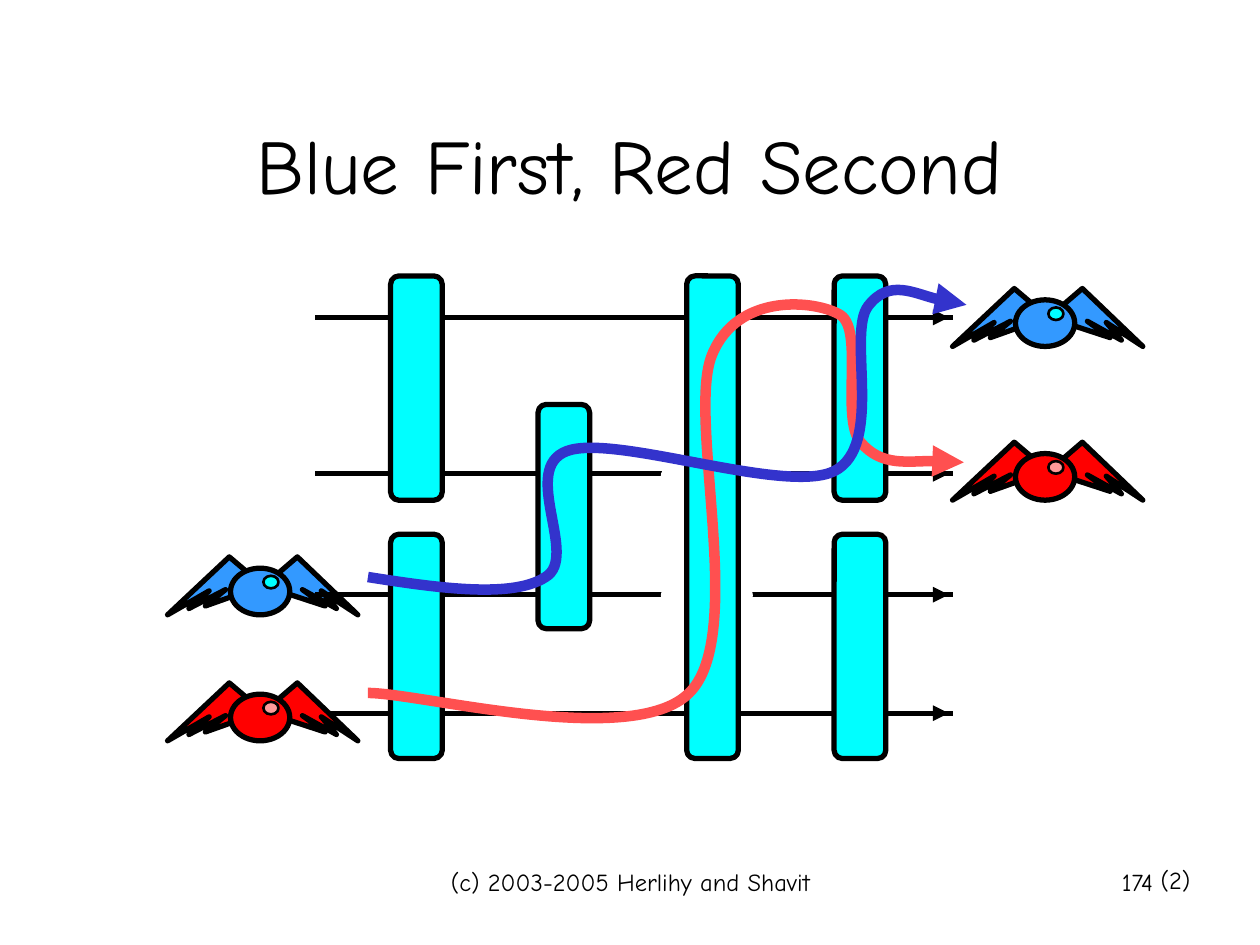
"""Build the counting network slide where blue exits first and red second."""
from lxml.etree import SubElement
from pptx import Presentation
from pptx.dml.color import RGBColor
from pptx.enum.shapes import MSO_CONNECTOR as Connector, MSO_SHAPE as Shape
from pptx.enum.text import MSO_ANCHOR as Anchor, PP_ALIGN as Align
from pptx.oxml.ns import qn
from pptx.util import Pt

SCALE = 9144
COLORS = {
    "black": "000000", "white": "FFFFFF", "gate": "00FFFF",
    "blue": "3399FF", "blue eye": "00FFFF", "blue path": "3333CC",
    "red": "FF0000", "red eye": "FF9999", "red path": "FF5050",
}
WIRES = TOP, UPPER, LOWER, BOTTOM = 252, 376, 472, 566
GATES = [(310, 424), (310, 219), (427, 321), (662, 424), (662, 219)]
GATE_WIDTH, GATE_HEIGHT, TALL_GATE_HEIGHT = 41, 178, 383
RIGHT_WING = [(82, 18), (103, 0), (151, 46), (122, 27), (134, 41),
              (107, 26), (125, 39), (76, 23)]
LEFT_WING = [(69, 17), (49, 0), (0, 46), (33, 27), (17, 41),
             (46, 26), (30, 39), (75, 23)]
BIRDS = [(133, 442, "blue"), (133, 542, "red"),
         (756, 229, "blue"), (756, 351, "red")]
RED_PATH = [(292, 550), (334, 550), (502, 595), (547, 550),
            (593, 505), (545, 332), (565, 282), (585, 232), (647, 238),
            (667, 250), (686, 262), (667, 332), (683, 351),
            (700, 371), (748, 364), (765, 367)]
BLUE_PATH = [(292, 458), (349, 467), (407, 475), (433, 458),
             (460, 442), (412, 372), (450, 358), (488, 344), (623, 393),
             (662, 374), (702, 354), (672, 265), (689, 243),
             (706, 221), (751, 242), (767, 242)]


class Painter:
    """Hold the text style and the page being drawn."""

    def __init__(self, page, font):
        self.page = page
        self.font = font

    def color(self, name):
        return RGBColor.from_string(COLORS[name])

    def outline(self, item, color, width, arrow=False):
        item.line.color.rgb = self.color(color)
        item.line.width = Pt(width)
        line = item.line._get_or_add_ln()
        SubElement(line, qn("a:round"))
        if arrow:
            SubElement(line, qn("a:tailEnd"), type="triangle")

    def finish(self, shape, fill, line, width):
        shape.shadow.inherit = False
        shape.fill.solid()
        shape.fill.fore_color.rgb = self.color(fill)
        self.outline(shape, line, width)

    def wire(self, left, y, arrow=False):
        ends = [value * SCALE for value in (left, y, left + 499, y)]
        wire = self.page.shapes.add_connector(Connector.STRAIGHT, *ends)
        SubElement(wire.element.spPr, qn("a:effectLst"))
        self.outline(wire, "black", 3, arrow)

    def shape(self, kind, frame, fill, line="black", width=3, parent=None):
        shapes = (parent or self.page).shapes
        shape = shapes.add_shape(kind, *(value * SCALE for value in frame))
        self.finish(shape, fill, line, width)
        return shape

    def gap(self, left, top):
        self.shape(Shape.OVAL, (left, top, 72, 29), "white", "white", 0.75)

    def gate(self, left, top, height=GATE_HEIGHT):
        frame = (left, top, GATE_WIDTH, height)
        gate = self.shape(Shape.ROUNDED_RECTANGLE, frame, "gate")
        gate.adjustments[0] = 0.16

    def outline_shape(self, points, close, parent=None):
        shapes = (parent or self.page).shapes
        builder = shapes.build_freeform(*points[0], scale=SCALE)
        builder.add_line_segments(points[1:], close=close)
        shape = builder.convert_to_shape()
        shape.shadow.inherit = False
        return shape

    def bird(self, left, top, color):
        group = self.page.shapes.add_group_shape()
        for wing in (RIGHT_WING, LEFT_WING):
            points = [(left + x, top + y) for x, y in wing]
            shape = self.outline_shape(points, True, group)
            self.finish(shape, color, "black", 3)
        body = (left + 50, top + 9, 47, 37)
        eye = (left + 76, top + 15, 12, 10)
        self.shape(Shape.OVAL, body, color, parent=group)
        self.shape(Shape.OVAL, eye, f"{color} eye", width=1.5, parent=group)

    def curve(self, points, color):
        """Draw a Bezier path from a start and triples of control points."""
        shape = self.outline_shape(points, False)
        shape.fill.background()
        self.outline(shape, color, 6, arrow=True)
        track = next(shape.element.iter(qn("a:path")))
        segments = track.findall(qn("a:lnTo"))
        for first in range(0, len(segments), 3):
            bezier = SubElement(track, qn("a:cubicBezTo"))
            for segment in segments[first:first + 3]:
                bezier.append(segment[0])
                track.remove(segment)

    def text(self, frame, words, size=14, align=Align.CENTER, anchor=Anchor.TOP):
        box = self.page.shapes.add_textbox(*(value * SCALE for value in frame))
        box.text_frame.word_wrap = True
        box.text_frame.vertical_anchor = anchor
        para = box.text_frame.paragraphs[0]
        para.alignment = align
        span = para.add_run()
        span.text = words
        for name, value in {"name": self.font, "size": Pt(size)}.items():
            setattr(span.font, name, value)
        span.font.color.rgb = self.color("black")


def main():
    deck = Presentation()
    deck.slide_width, deck.slide_height = 1000 * SCALE, 750 * SCALE
    painter = Painter(deck.slides.add_slide(deck.slide_layouts[6]), "Comic Neue")

    painter.wire(250, TOP)
    for y in WIRES:
        painter.wire(254, y, arrow=True)
    for y in (UPPER, LOWER):
        painter.wire(257, y)
    for top in (341, 460):
        painter.gap(528, top)
    painter.text((75, 67, 850, 125), "Blue First, Red Second", 44,
                 anchor=Anchor.MIDDLE)
    for y in (TOP, BOTTOM):
        painter.wire(257, y)
    for bird in BIRDS:
        painter.bird(*bird)
    for y in (UPPER, LOWER):
        painter.wire(250, y)
    for gate in GATES:
        painter.gate(*gate)
    painter.text((893, 682, 80, 34), "(2)")
    for top in (363, 458):
        painter.gap(525, top)
    painter.gate(545, 219, TALL_GATE_HEIGHT)
    painter.curve(RED_PATH, "red path")
    painter.curve(BLUE_PATH, "blue path")
    painter.text((342, 683, 317, 50), "(c) 2003-2005 Herlihy and Shavit")
    painter.text((717, 683, 208, 50), "174", align=Align.RIGHT)
    deck.save("out.pptx")


if __name__ == "__main__":
    main()
